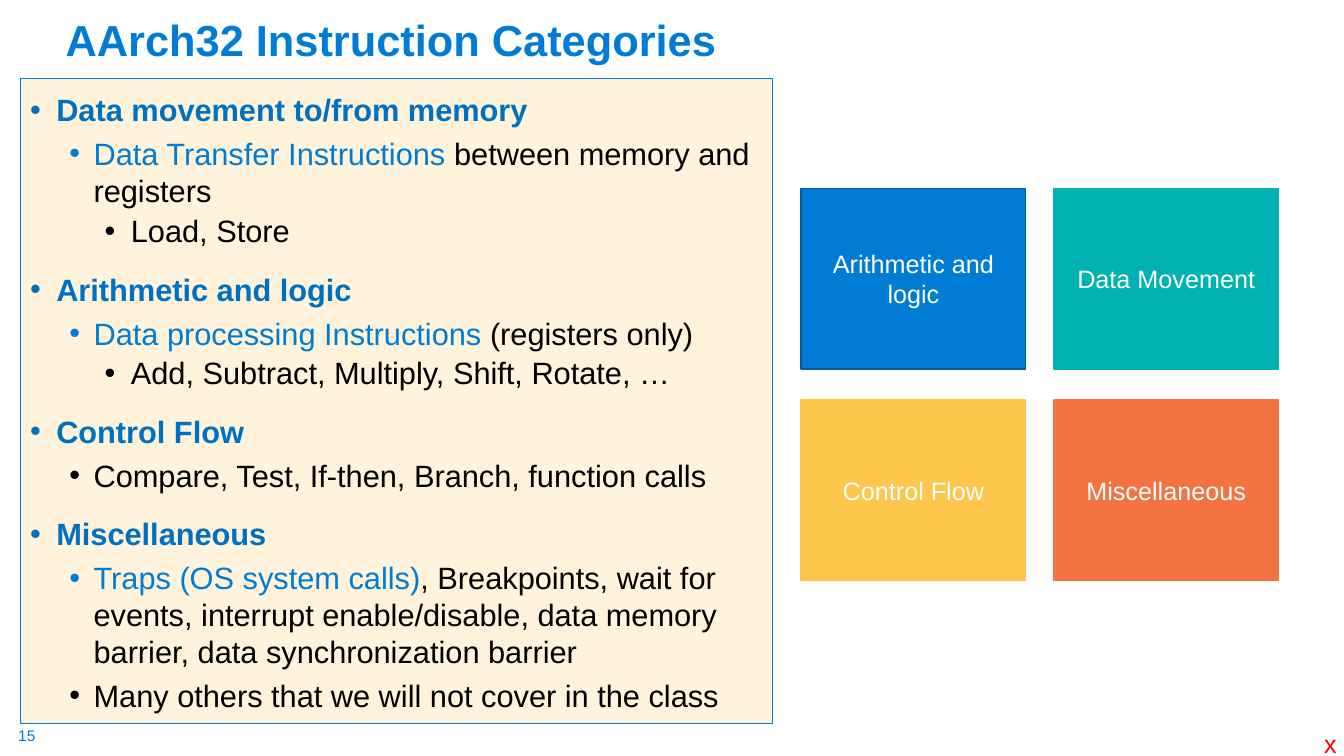
from dataclasses import dataclass

from lxml.etree import SubElement
from pptx import Presentation
from pptx.dml.color import RGBColor
from pptx.enum.shapes import MSO_SHAPE
from pptx.enum.text import MSO_ANCHOR, MSO_AUTO_SIZE, PP_ALIGN
from pptx.oxml.ns import qn
from pptx.util import Cm, Pt


@dataclass(frozen=True)
class Theme:
    font: str = "Arial"
    blue: str = "007CD5"
    heading: str = "0070C0"
    black: str = "000000"
    white: str = "FFFFFF"
    red: str = "FF0000"
    cream: str = "FFF4DB"
    dark_blue: str = "005C9E"
    teal: str = "00B2B1"
    yellow: str = "FEC64D"
    orange: str = "F37440"
    orange_edge: str = "F3753F"
    title_size: int = 31
    body_size: int = 22
    label_size: int = 18
    number_size: int = 11


@dataclass(frozen=True)
class Level:
    margin: float
    hanging: float
    line_spacing: float
    space_before: int


LEVELS = (
    Level(0.66, 0.66, 1.2, 10),
    Level(1.6, 0.61, 1.0, 5),
    Level(2.54, 0.66, 0.9, 5),
)


class SlideBuilder:
    def __init__(self, deck, theme):
        self.theme = theme
        self.page = deck.slides.add_slide(deck.slide_layouts[5])

    def span(self, para, text, size, color, bold=False):
        span = para.add_run()
        span.text = text
        span.font.name = self.theme.font
        span.font.size = Pt(size)
        span.font.bold = bold
        span.font.color.rgb = RGBColor.from_string(color)

    def title(self, text, *place):
        box = self.page.shapes.title
        box.left, box.top, box.width, box.height = map(Cm, place)
        frame = box.text_frame
        frame.word_wrap = True
        frame.auto_size = MSO_AUTO_SIZE.NONE
        frame.vertical_anchor = MSO_ANCHOR.BOTTOM
        para = frame.paragraphs[0]
        para.alignment = PP_ALIGN.LEFT
        para.line_spacing = 0.9
        self.span(para, text, self.theme.title_size, self.theme.blue, True)

    def rectangle(self, place, fill, edge, edge_width):
        box = self.page.shapes.add_shape(MSO_SHAPE.RECTANGLE, *map(Cm, place))
        box.shadow.inherit = False
        box.fill.solid()
        box.fill.fore_color.rgb = RGBColor.from_string(fill)
        box.line.color.rgb = RGBColor.from_string(edge)
        box.line.width = Pt(edge_width)
        box.text_frame.word_wrap = True
        return box.text_frame

    def outline(self, items, *place):
        """Draw a framed bullet list from (level, ((text, color), ...)) items."""
        frame = self.rectangle(place, self.theme.cream, self.theme.blue, 0.75)
        frame.vertical_anchor = MSO_ANCHOR.TOP
        for index, (depth, spans) in enumerate(items):
            para = frame.add_paragraph() if index else frame.paragraphs[0]
            level = LEVELS[depth]
            para.level = depth
            para.alignment = PP_ALIGN.LEFT
            para.line_spacing = level.line_spacing
            para.space_before = Pt(level.space_before if index else 0)
            props = para._p.get_or_add_pPr()
            props.set("marL", str(Cm(level.margin)))
            props.set("indent", str(-Cm(level.hanging)))
            SubElement(props, qn("a:buFont"), typeface=self.theme.font)
            SubElement(props, qn("a:buChar"), char="•")
            for text, color in spans:
                self.span(para, text, self.theme.body_size, color, depth == 0)

    def tile(self, text, fill, edge, *place):
        frame = self.rectangle(place, fill, edge, 1)
        frame.vertical_anchor = MSO_ANCHOR.MIDDLE
        para = frame.paragraphs[0]
        para.alignment = PP_ALIGN.CENTER
        self.span(para, text, self.theme.label_size, self.theme.white)

    def label(self, text, size, color, *place, inset=None):
        box = self.page.shapes.add_textbox(*map(Cm, place))
        frame = box.text_frame
        frame.word_wrap = False
        frame.auto_size = MSO_AUTO_SIZE.SHAPE_TO_FIT_TEXT
        if inset is not None:
            frame.margin_left = frame.margin_right = Cm(inset)
            frame.margin_top = frame.margin_bottom = Cm(inset)
        self.span(frame.paragraphs[0], text, size, color)


def main():
    deck = Presentation()
    deck.slide_width, deck.slide_height = Cm(33.87), Cm(19.05)
    theme = Theme()
    slide = SlideBuilder(deck, theme)
    blue, black, heading = theme.blue, theme.black, theme.heading

    slide.label("15", theme.number_size, blue, 0.46, 18.31, 0.48, 0.48, inset=0)
    slide.title("AArch32 Instruction Categories", 1.4, 0.33, 29.21, 1.47)
    slide.outline((
        (0, (("Data movement to/from memory", heading),)),
        (1, (("Data Transfer Instructions ", blue),
             ("between memory and registers", black))),
        (2, (("Load, Store", black),)),
        (0, (("Arithmetic and logic", heading),)),
        (1, (("Data processing Instructions ", blue),
             ("(registers only)", black))),
        (2, (("Add, Subtract, Multiply, Shift, Rotate, …", black),)),
        (0, (("Control Flow", heading),)),
        (1, (("Compare, Test, If-then, Branch, function calls", black),)),
        (0, (("Miscellaneous", heading),)),
        (1, (("Traps (OS system calls)", blue),
             (", Breakpoints, wait for events, interrupt enable/disable, "
              "data memory barrier, data synchronization barrier", black))),
        (1, (("Many others that we will not cover in the class", black),)),
    ), 0.51, 1.98, 18.95, 16.26)

    tiles = (
        ("Arithmetic and logic", blue, theme.dark_blue),
        ("Data Movement", theme.teal, theme.teal),
        ("Control Flow", theme.yellow, theme.yellow),
        ("Miscellaneous", theme.orange, theme.orange_edge),
    )
    for index, (text, fill, edge) in enumerate(tiles):
        row, column = divmod(index, 2)
        slide.tile(text, fill, edge,
                   20.19 + 6.37 * column, 4.75 + 5.33 * row, 5.66, 4.55)

    slide.label("x", theme.label_size, theme.red, 33.12, 18.24, 0.84, 1.02)
    deck.save("out.pptx")


if __name__ == "__main__":
    main()
